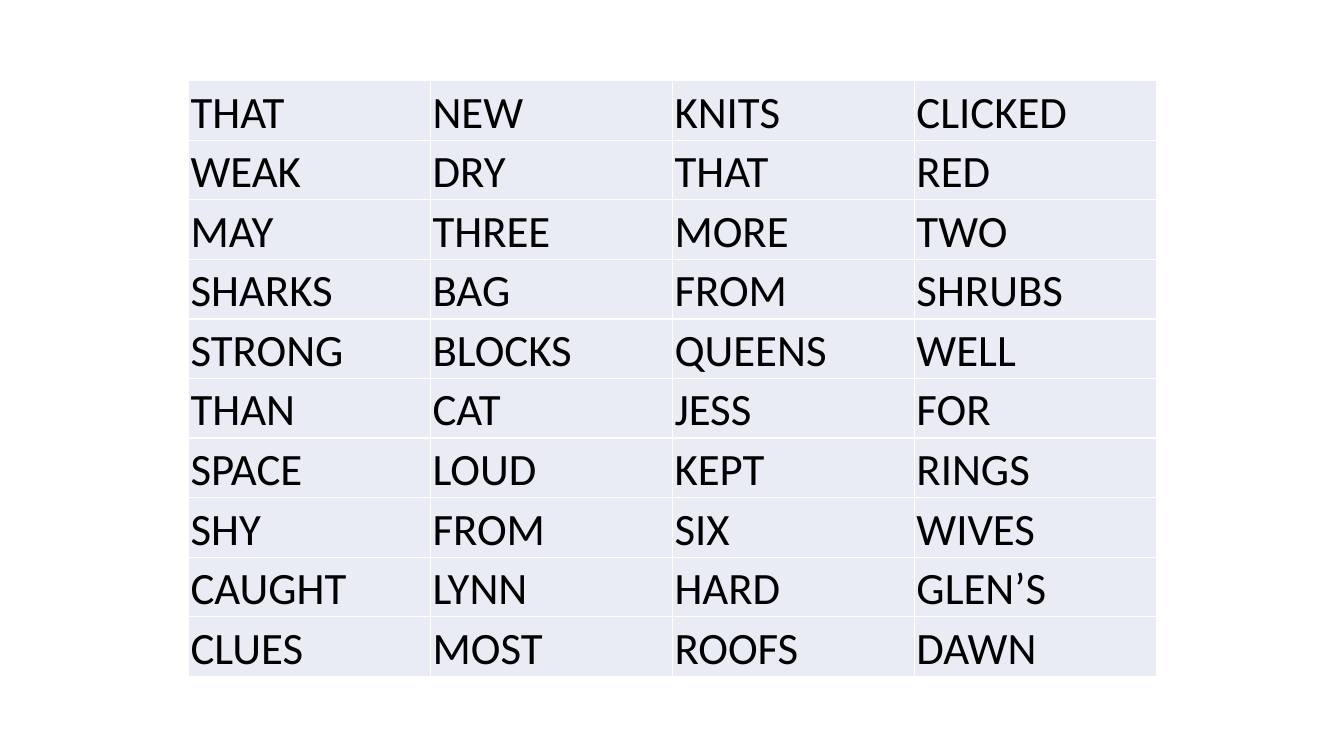
"""Build a slide with a grid of words."""
from lxml.etree import SubElement as Sub
from pptx import Presentation
from pptx.dml.color import RGBColor as RGB
from pptx.enum.text import MSO_ANCHOR as Anchor
from pptx.oxml.ns import qn
from pptx.util import Inches, Pt

COLORS = {"text": "000000", "cell": "E9EBF5", "rule": "FFFFFF"}
WORDS = """
THAT NEW KNITS CLICKED
WEAK DRY THAT RED
MAY THREE MORE TWO
SHARKS BAG FROM SHRUBS
STRONG BLOCKS QUEENS WELL
THAN CAT JESS FOR
SPACE LOUD KEPT RINGS
SHY FROM SIX WIVES
CAUGHT LYNN HARD GLEN’S
CLUES MOST ROOFS DAWN
"""


class Page:
    def __init__(self, slide, font, size):
        self.slide, self.font, self.size = slide, font, size

    def table(self, rows, left, top, width, height):
        frame = self.slide.shapes.add_table(
            len(rows), len(rows[0]), Inches(left), Inches(top), Inches(width), Inches(height))
        grid = frame.table
        grid.first_row = grid.horz_banding = False
        for row, words in enumerate(rows):
            for col, word in enumerate(words):
                self.cell(grid.cell(row, col), word)

    def cell(self, cell, word):
        cell.text = word
        cell.vertical_anchor = Anchor.BOTTOM
        cell.margin_left = cell.margin_right = cell.margin_top = Inches(0.02)
        cell.margin_bottom = 0
        self.rules(cell)
        cell.fill.solid()
        cell.fill.fore_color.rgb = RGB.from_string(COLORS["cell"])
        font = cell.text_frame.paragraphs[0].font
        font.name, font.size = self.font, Pt(self.size)
        font.color.rgb = RGB.from_string(COLORS["text"])

    def rules(self, cell):
        props = cell._tc.get_or_add_tcPr()
        for side in "LRTB":
            line = Sub(props, qn(f"a:ln{side}"), w=str(Pt(1)))
            fill = Sub(line, qn("a:solidFill"))
            Sub(fill, qn("a:srgbClr"), val=COLORS["rule"])


deck = Presentation()
deck.slide_width, deck.slide_height = Inches(13.33), Inches(7.5)
page = Page(deck.slides.add_slide(deck.slide_layouts[6]), "Calibri", 32)
page.table([line.split() for line in WORDS.strip().splitlines()], 1.87, 0.8, 9.6, 5.91)
deck.save("out.pptx")
